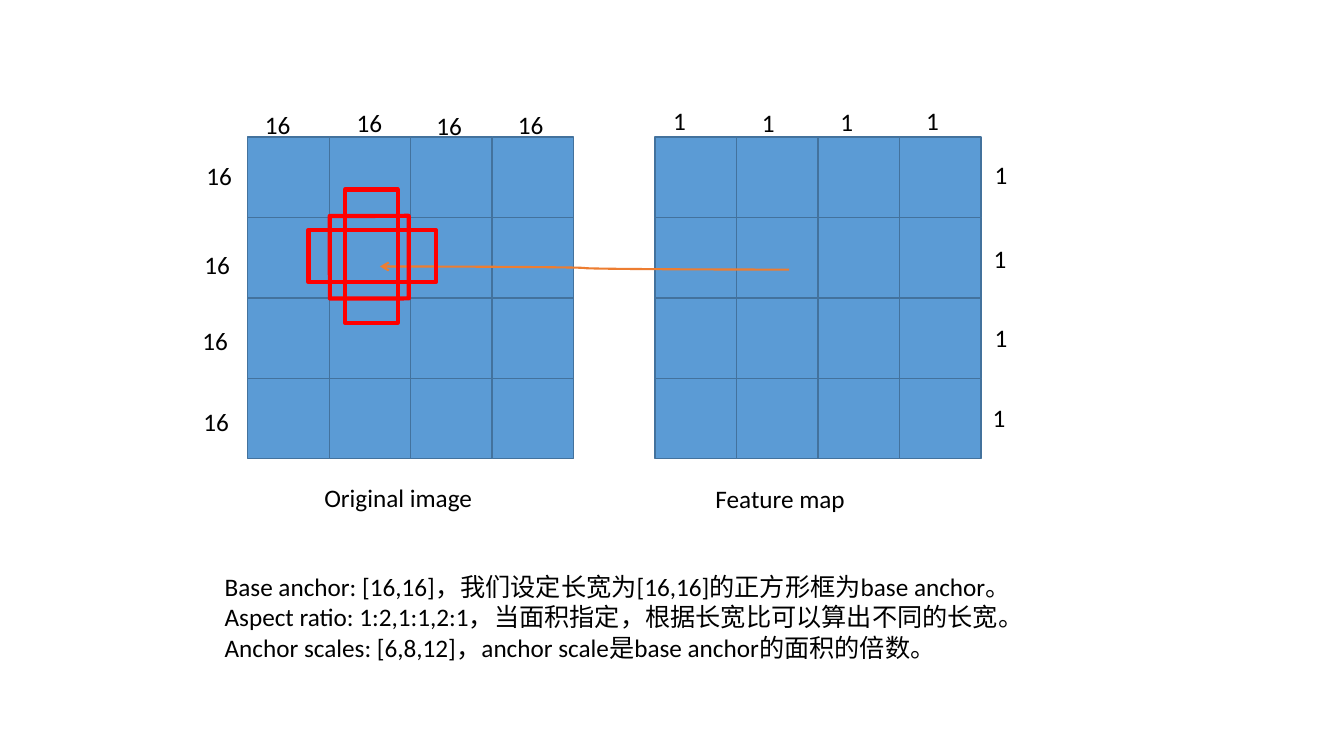
from itertools import product
from lxml.etree import SubElement
from pptx import Presentation
from pptx.dml.color import RGBColor
from pptx.enum.shapes import MSO_CONNECTOR, MSO_SHAPE
from pptx.oxml.ns import qn
from pptx.util import Pt


def color(hex_code):
    return RGBColor.from_string(hex_code)


class Sketch:
    font = "Calibri"
    size = 18
    ink = "000000"
    cell_fill = "5B9BD5"
    cell_line = "43729D"
    anchor_line = "FF0000"
    arrow_line = "ED7D31"

    def __init__(self, slide):
        self.slide = slide

    def box(self, left, top, width, height, line, weight, fill=None):
        box = self.slide.shapes.add_shape(
            MSO_SHAPE.RECTANGLE, Pt(left), Pt(top), Pt(width), Pt(height))
        box.shadow.inherit = False
        if fill:
            box.fill.solid()
            box.fill.fore_color.rgb = color(fill)
        else:
            box.fill.background()
        box.line.color.rgb = color(line)
        box.line.width = Pt(weight)
        return box

    def grid(self, left, top, count, step_x, step_y):
        for row, column in product(range(count), repeat=2):
            self.box(left + column * step_x, top + row * step_y,
                     step_x, step_y, self.cell_line, 1, self.cell_fill)

    def text(self, left, top, width, height, words):
        frame = self.slide.shapes.add_textbox(
            Pt(left), Pt(top), Pt(width), Pt(height)).text_frame
        frame.word_wrap = True
        frame.text = words
        for paragraph in frame.paragraphs:
            for run in paragraph.runs:
                run.font.name = self.font
                run.font.size = Pt(self.size)
                run.font.color.rgb = color(self.ink)

    def labels(self, words, places):
        for left, top in places:
            self.text(left, top, 38.9, 29, words)

    def curved_arrow(self, start_x, start_y, end_x, end_y):
        arrow = self.slide.shapes.add_connector(
            MSO_CONNECTOR.CURVE, Pt(start_x), Pt(start_y), Pt(end_x), Pt(end_y))
        arrow.line.color.rgb = color(self.arrow_line)
        arrow.line.width = Pt(1.5)
        SubElement(arrow.line._get_or_add_ln(), qn("a:tailEnd"), type="arrow")
        SubElement(arrow._element.spPr, qn("a:effectLst"))


deck = Presentation()
deck.slide_width, deck.slide_height = Pt(960), Pt(540)
sketch = Sketch(deck.slides.add_slide(deck.slide_layouts[6]))

for grid_left in (468, 177):
    sketch.grid(grid_left, 98, 4, 58.2, 57.4)

image_columns = [(182.2, 74.2), (247.7, 73.4), (304.6, 74.9), (362.9, 74.2)]
image_rows = [(140.4, 110.9), (139, 174.2), (137.5, 229), (138.2, 286.6)]
map_columns = [(473.8, 72), (537.1, 73.4), (593.3, 72.7), (654.5, 72)]
map_rows = [(703.4, 110.2), (702.7, 169.9), (703.4, 226.8), (702, 283.7)]
sketch.labels("16", image_columns + image_rows)
sketch.labels("1", map_columns + map_rows)

sketch.curved_arrow(563.8, 192.6, 271.4, 190.4)

anchors = [(235.6, 154.2, 56.4, 59), (246.5, 135.4, 37.6, 95.2), (220.3, 164.2, 90.9, 37.4)]
square, tall, wide = [sketch.box(*anchor, sketch.anchor_line, 3) for anchor in anchors]
square.rotation = 359.9

sketch.text(224.6, 340.6, 150, 29, "Original image")
sketch.text(504, 342, 150, 29, "Feature map")
sketch.text(153.4, 404.6, 693.4, 72, "\n".join([
    "Base anchor: [16,16]，我们设定长宽为[16,16]的正方形框为base anchor。",
    "Aspect ratio: 1:2,1:1,2:1，当面积指定，根据长宽比可以算出不同的长宽。",
    "Anchor scales: [6,8,12]，anchor scale是base anchor的面积的倍数。",
]))

deck.save("out.pptx")
